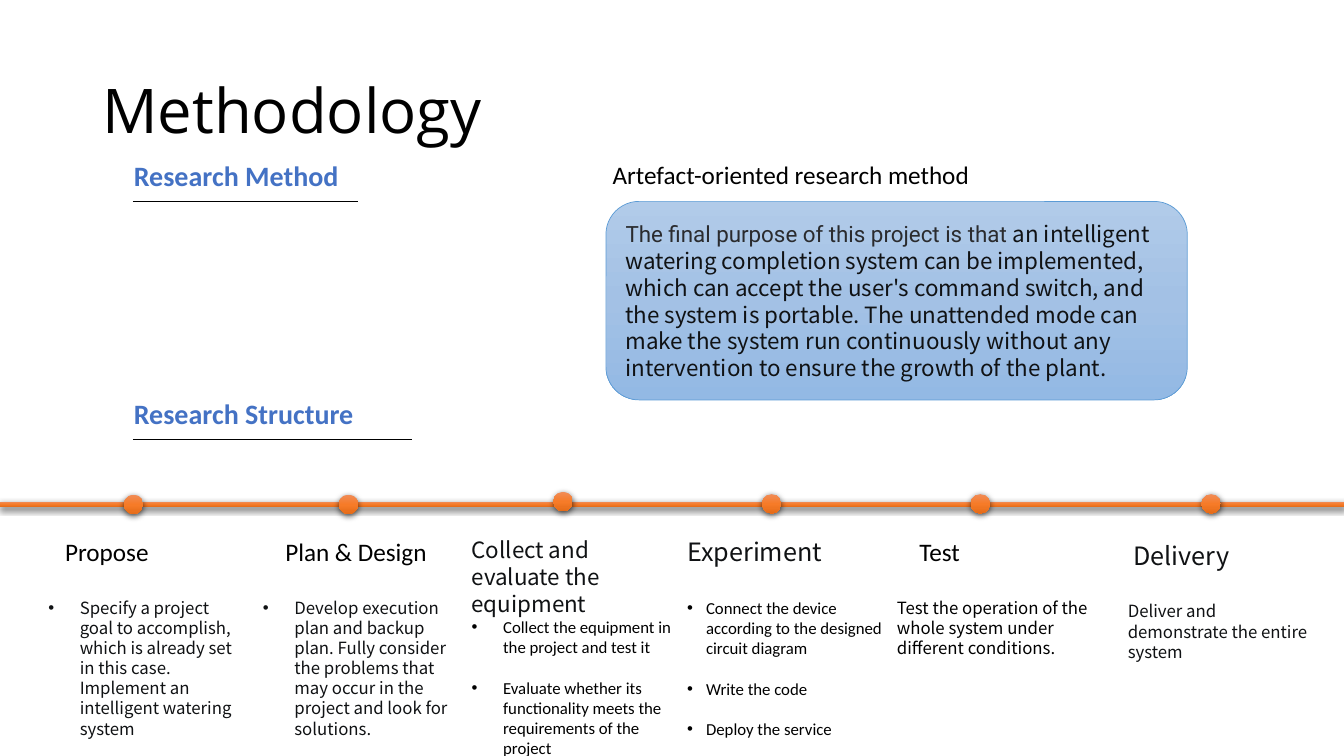
from copy import deepcopy
from dataclasses import dataclass

from lxml import etree
from pptx import Presentation
from pptx.dml.color import RGBColor
from pptx.enum import shapes, text
from pptx.oxml import ns
from pptx.util import Pt

CALIBRI, NOTO, ROBOTO, OPEN_SANS = "Calibri", "Noto Sans CJK SC", "Roboto", "Open Sans"
BLACK, INK, BLUE = "000000", "101214", "4472C4"
ORANGE_STOPS = ("F18C57", "F67B28", "E56C19")
BLUE_STOPS = ("B1CBE9", "A3C1E5", "93B9E4")
DOT_SIZE = 13.8
ITEM_GAP = 14.65


@dataclass
class Box:
    left: float
    top: float
    width: float
    height: float

    def lengths(self):
        return Pt(self.left), Pt(self.top), Pt(self.width), Pt(self.height)


@dataclass
class Run:
    text: str
    size: float
    font: str = CALIBRI
    color: str = BLACK
    bold: bool = False


@dataclass
class Label:
    box: Box
    run: Run


@dataclass
class Stage:
    dot_left: float
    dot_top: float
    box: Box
    heading: Run
    heading_indent: float
    items: tuple
    font: str = NOTO
    color: str = INK
    bullet_indent: float = 0
    gap: float = 22


LABELS = [
    Label(Box(88.5, 110, 167, 31.5), Run("Research Method", 20, color=BLUE, bold=True)),
    Label(Box(430.5, 110, 284, 29), Run("Artefact-oriented research method", 18)),
    Label(Box(88.5, 280, 173, 31.5), Run("Research Structure", 20, color=BLUE, bold=True)),
]
UNDERLINES = [(95, 255.5, 144), (95, 294.5, 314)]
PURPOSE = [
    Run("The final purpose of this project is that ", 16, ROBOTO, "2A2B2E"),
    Run("an intelligent watering completion system can be implemented, which can accept "
        "the user's command switch, and the system is portable. The unattended mode can "
        "make the system run continuously without any intervention to ensure the growth "
        "of the plant.", 16, NOTO, INK),
]
STAGES = [
    Stage(88.5, 353.4, Box(27.4, 379.5, 150, 138), Run("Propose", 18), 12,
          ("Specify a project goal to accomplish, which is already set in this case. "
           "Implement an intelligent watering system",), bullet_indent=22.5),
    Stage(242, 353.4, Box(180.7, 379.5, 150, 138), Run("Plan & Design", 18), 16,
          ("Develop execution plan and backup plan. Fully consider the problems that may "
           "occur in the project and look for solutions.",), bullet_indent=22.5),
    Stage(395.3, 351.4, Box(329.8, 379.5, 160.5, 147.5),
          Run("Collect and evaluate the equipment", 16, NOTO, INK), 0,
          ("Collect the equipment in the project and test it",
           "Evaluate whether its functionality meets the requirements of the project"),
          CALIBRI, BLACK, 22.5, 0),
    Stage(544.3, 353, Box(483.8, 379.5, 160.5, 152.5),
          Run("Experiment", 18, NOTO, INK), 0,
          ("Connect the device according to the designed circuit diagram",
           "Write the code", "Deploy the service"), CALIBRI, BLACK, 13.5),
    Stage(693.3, 353, Box(633.6, 379.5, 160.5, 94.5), Run("Test", 18), 16,
          ("Test the operation of the whole system under different conditions.",),
          color=BLACK),
    Stage(858.2, 353, Box(798.5, 382.3, 150, 80), Run("Delivery", 18, NOTO, INK), 4,
          ("Deliver and demonstrate the entire system",)),
]


def rgb(value: str) -> RGBColor:
    return RGBColor.from_string(value)


def add_run(p, run: Run) -> None:
    r = p.add_run()
    r.text = run.text
    r.font.size = Pt(run.size)
    r.font.name = run.font
    r.font.bold = run.bold
    r.font.color.rgb = rgb(run.color)


def add_text_box(s, box: Box, wrap: bool = True, grow: bool = True):
    tf = s.shapes.add_textbox(*box.lengths()).text_frame
    tf.word_wrap = wrap
    fit = text.MSO_AUTO_SIZE
    tf.auto_size = fit.SHAPE_TO_FIT_TEXT if grow else fit.NONE
    return tf


def set_indent(p, left: float, bullet: bool = False) -> None:
    ppr = p._p.get_or_add_pPr()
    ppr.set("marL", str(Pt(left)))
    ppr.set("indent", str(-Pt(left) if bullet else 0))
    if bullet:
        etree.SubElement(ppr, ns.qn("a:buFont")).set("typeface", "Arial")
        etree.SubElement(ppr, ns.qn("a:buChar")).set("char", "•")


def add_gradient_shape(s, kind, box: Box, colors: tuple):
    sp = s.shapes.add_shape(kind, *box.lengths())
    sp.shadow.inherit = False
    sp.fill.gradient()
    sp.fill.gradient_angle = 270
    first = next(sp._element.spPr.iter(ns.qn("a:gs")))
    first.addnext(deepcopy(first))
    for i, stop in enumerate(sp.fill.gradient_stops):
        stop.position = i / 2
        stop.color.rgb = rgb(colors[i])
    return sp


def add_timeline_shape(s, kind, box: Box) -> None:
    sp = add_gradient_shape(s, kind, box, ORANGE_STOPS)
    sp.line.fill.background()
    effects = sp._element.spPr.find(ns.qn("a:effectLst"))
    shadow = etree.SubElement(effects, ns.qn("a:outerShdw"), blurRad=str(Pt(4.5)),
                              dist=str(Pt(1.5)), dir="5400000", algn="ctr", rotWithShape="0")
    color = etree.SubElement(shadow, ns.qn("a:srgbClr"), val=BLACK)
    etree.SubElement(color, ns.qn("a:alpha"), val="63000")


def add_underline(s, left: float, right: float, y: float) -> None:
    line = s.shapes.add_connector(shapes.MSO_CONNECTOR.STRAIGHT,
                                  Pt(left), Pt(y), Pt(right), Pt(y))
    line.line.color.rgb = rgb(BLACK)
    line.line.width = Pt(0.5)
    etree.SubElement(line._element.spPr, ns.qn("a:effectLst"))


def add_stage(s, stage: Stage) -> None:
    add_timeline_shape(s, shapes.MSO_SHAPE.OVAL,
                       Box(stage.dot_left, stage.dot_top, DOT_SIZE, DOT_SIZE))
    tf = add_text_box(s, stage.box)
    p = tf.paragraphs[0]
    set_indent(p, stage.heading_indent)
    add_run(p, stage.heading)
    for i, item in enumerate(stage.items):
        p = tf.add_paragraph()
        set_indent(p, stage.bullet_indent, stage.bullet_indent > 0)
        p.space_before = Pt(ITEM_GAP if i else stage.gap)
        add_run(p, Run(item, 12, stage.font, stage.color))


def main() -> None:
    prs = Presentation()
    prs.slide_width, prs.slide_height = Pt(960), Pt(540)
    s = prs.slides.add_slide(prs.slide_layouts[6])

    tf = add_text_box(s, Box(66, 28.75, 828, 104.4), grow=False)
    tf.vertical_anchor = text.MSO_ANCHOR.MIDDLE
    tf.paragraphs[0].line_spacing = 0.9
    add_run(tf.paragraphs[0], Run("Methodology", 44, OPEN_SANS))

    for label in LABELS:
        add_run(add_text_box(s, label.box, wrap=False).paragraphs[0], label.run)
    for underline in UNDERLINES:
        add_underline(s, *underline)

    sp = add_gradient_shape(s, shapes.MSO_SHAPE.ROUNDED_RECTANGLE,
                            Box(432.8, 143.9, 415.3, 141.8), BLUE_STOPS)
    sp.line.color.rgb = rgb("5B9BD5")
    sp.line.width = Pt(0.5)
    tf = sp.text_frame
    tf.word_wrap = True
    tf.vertical_anchor = text.MSO_ANCHOR.MIDDLE
    tf.paragraphs[0].alignment = text.PP_ALIGN.LEFT
    for run in PURPOSE:
        add_run(tf.paragraphs[0], run)

    add_timeline_shape(s, shapes.MSO_SHAPE.ROUNDED_RECTANGLE, Box(0, 358.5, 960, 3.6))
    for stage in STAGES:
        add_stage(s, stage)
    prs.save("out.pptx")


if __name__ == "__main__":
    main()
